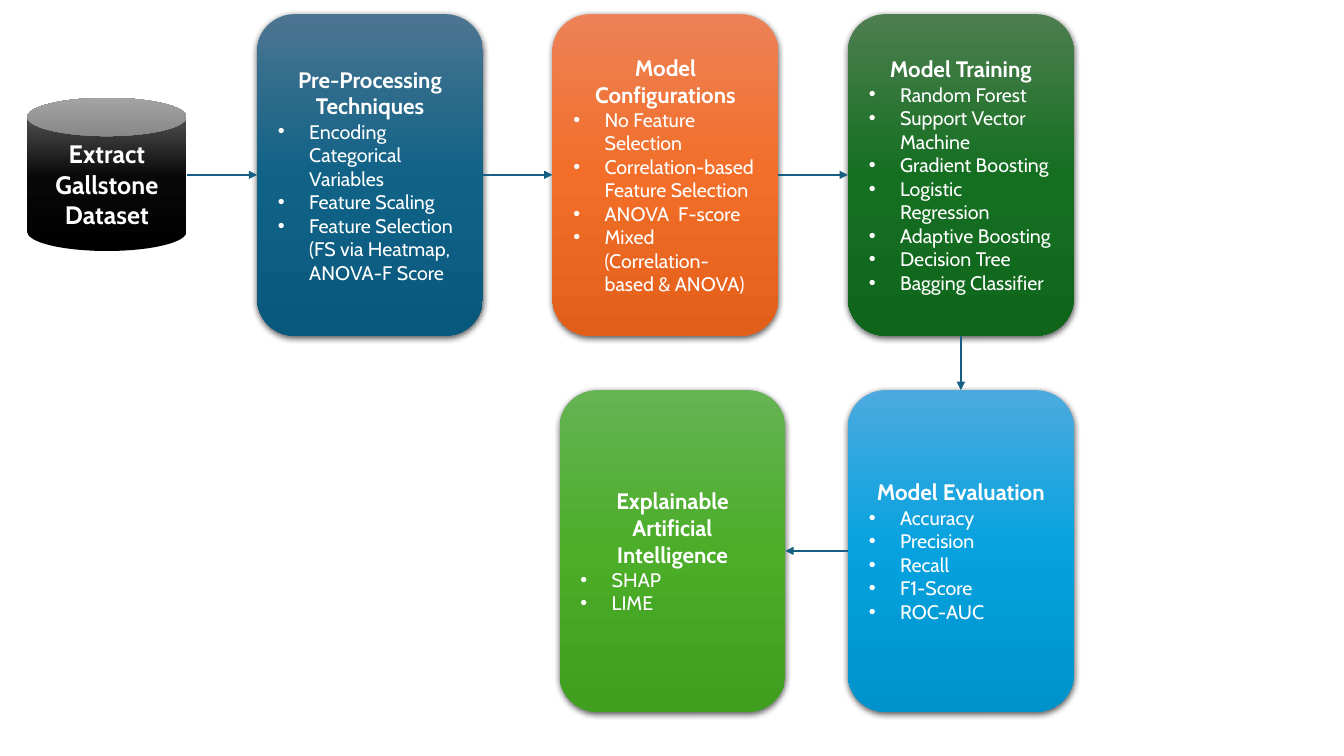
from lxml import etree
from pptx import Presentation
from pptx.dml.color import RGBColor
from pptx.enum.shapes import MSO_CONNECTOR, MSO_SHAPE
from pptx.enum.text import MSO_ANCHOR, PP_ALIGN
from pptx.oxml.ns import qn
from pptx.util import Inches, Pt

CAN = MSO_SHAPE.CAN
CARD = MSO_SHAPE.FLOWCHART_ALTERNATE_PROCESS
STRAIGHT = MSO_CONNECTOR.STRAIGHT
MIDDLE = MSO_ANCHOR.MIDDLE
CENTER, LEFT = PP_ALIGN.CENTER, PP_ALIGN.LEFT
TOP_SIDE, LEFT_SIDE, BOTTOM_SIDE, RIGHT_SIDE = range(4)

FONT = "Cabin"
WHITE = RGBColor(0xFF, 0xFF, 0xFF)
ARROW = RGBColor(0x15, 0x60, 0x82)
BLACKS = [(0, RGBColor(0, 0, 0)), (48, RGBColor(0x08, 0x08, 0x08)), (100, RGBColor(0x66, 0x66, 0x66))]
BLUES = [(0, RGBColor(0x4C, 0x75, 0x91)), (50, RGBColor(0x10, 0x62, 0x87)), (100, RGBColor(0x09, 0x59, 0x7D))]
ORANGES = [(0, RGBColor(0xED, 0x82, 0x57)), (50, RGBColor(0xF2, 0x6E, 0x29)), (100, RGBColor(0xE2, 0x5F, 0x1A))]
DARK_GREENS = [(0, RGBColor(0x4D, 0x7E, 0x50)), (50, RGBColor(0x15, 0x6F, 0x21)), (100, RGBColor(0x0F, 0x66, 0x1B))]
SKY_BLUES = [(0, RGBColor(0x4C, 0xAA, 0xDF)), (50, RGBColor(0x05, 0xA2, 0xDF)), (100, RGBColor(0x00, 0x92, 0xCB))]
GREENS = [(0, RGBColor(0x66, 0xB3, 0x54)), (50, RGBColor(0x4B, 0xAD, 0x28)), (100, RGBColor(0x40, 0x9F, 0x1E))]

GRID_LEFT, GRID_TOP = 2.55, 0.14
COLUMN, ROW = 2.93, 3.73
CARD_WIDTH, CARD_HEIGHT = 2.24, 3.19
EXPLAIN_SHIFT = 0.07
INDENT = 0.31

STAGES = [
    ("Pre-Processing Techniques", 0, 0, 0, BLUES,
     ["Encoding Categorical Variables", "Feature Scaling",
      "Feature Selection (FS via Heatmap, ANOVA-F Score"]),
    ("Model Configurations", 1, 0, 0, ORANGES,
     ["No Feature Selection", "Correlation-based Feature Selection",
      "ANOVA  F-score", "Mixed (Correlation-based & ANOVA)"]),
    ("Model Training", 2, 0, 0, DARK_GREENS,
     ["Random Forest", "Support Vector Machine", "Gradient Boosting",
      "Logistic Regression", "Adaptive Boosting", "Decision Tree",
      "Bagging Classifier"]),
    ("Model Evaluation", 2, 1, 0, SKY_BLUES,
     ["Accuracy", "Precision", "Recall", "F1-Score", "ROC-AUC"]),
    ("Explainable Artificial Intelligence", 1, 1, EXPLAIN_SHIFT, GREENS,
     ["SHAP", "LIME"]),
]
LINKS = [(RIGHT_SIDE, LEFT_SIDE), (RIGHT_SIDE, LEFT_SIDE),
         (BOTTOM_SIDE, TOP_SIDE), (LEFT_SIDE, RIGHT_SIDE)]


def add_child(parent, tag, **attributes):
    return etree.SubElement(parent, qn(tag), attributes)


def paint_gradient(shape, stops, angle):
    shape.fill.gradient()
    shape.fill.gradient_angle = angle
    stop_list = shape._element.spPr.find(".//" + qn("a:gsLst"))
    for old_stop in list(stop_list):
        stop_list.remove(old_stop)
    for position, color in stops:
        stop = add_child(stop_list, "a:gs", pos=str(position * 1000))
        add_child(stop, "a:srgbClr", val=str(color))


def cast_shadow(shape):
    effects = shape._element.spPr.find(qn("a:effectLst"))
    shadow = add_child(effects, "a:outerShdw", blurRad=str(Pt(4.5)), dist=str(Pt(1.5)),
                       dir="5400000", algn="ctr", rotWithShape="0")
    color = add_child(shadow, "a:srgbClr", val="000000")
    add_child(color, "a:alpha", val="63000")


def write(para, text, size, bold, alignment):
    para.text = text
    para.alignment = alignment
    font = para.runs[0].font
    font.name, font.size, font.bold = FONT, Pt(size), bold
    font.color.rgb = WHITE


def add_bullet(para):
    properties = para._p.get_or_add_pPr()
    properties.set("marL", str(Inches(INDENT)))
    properties.set("indent", str(-Inches(INDENT)))
    add_child(properties, "a:buFont", typeface="Arial")
    add_child(properties, "a:buChar", char="•")


def add_block(page, kind, frame, stops, angle, heading, size):
    block = page.shapes.add_shape(kind, *(Inches(length) for length in frame))
    block.shadow.inherit = False
    block.line.fill.background()
    paint_gradient(block, stops, angle)
    block.text_frame.word_wrap = True
    block.text_frame.vertical_anchor = MIDDLE
    write(block.text_frame.paragraphs[0], heading, size, True, CENTER)
    return block


def add_stage(page, heading, column, row, shift, stops, items):
    frame = (GRID_LEFT + column * COLUMN + shift, GRID_TOP + row * ROW,
             CARD_WIDTH, CARD_HEIGHT)
    card = add_block(page, CARD, frame, stops, 270, heading, 16)
    cast_shadow(card)
    for item in items:
        para = card.text_frame.add_paragraph()
        write(para, item, 14, False, LEFT)
        add_bullet(para)
    return card


def add_arrow(page, start, target, target_side):
    arrow = page.shapes.add_connector(STRAIGHT, *start, *start)
    arrow.end_connect(target, target_side)
    arrow.line.color.rgb = ARROW
    arrow.line.width = Pt(1.5)
    add_child(arrow.line._get_or_add_ln(), "a:tailEnd", type="triangle")
    add_child(arrow._element.spPr, "a:effectLst")
    return arrow


def main():
    deck = Presentation()
    deck.slide_width, deck.slide_height = Inches(13.33), Inches(7.5)
    page = deck.slides.add_slide(deck.slide_layouts[6])

    dataset = add_block(page, CAN, (0.27, 0.97, 1.58, 1.52), BLACKS, 90,
                        "Extract Gallstone Dataset", 18)
    cards = [add_stage(page, *stage) for stage in STAGES]

    dataset_exit = (dataset.left + dataset.width, cards[0].top + cards[0].height // 2)
    add_arrow(page, dataset_exit, cards[0], LEFT_SIDE)
    for source, target, (source_side, target_side) in zip(cards, cards[1:], LINKS):
        arrow = add_arrow(page, (source.left, source.top), target, target_side)
        arrow.begin_connect(source, source_side)

    deck.save("out.pptx")


if __name__ == "__main__":
    main()
